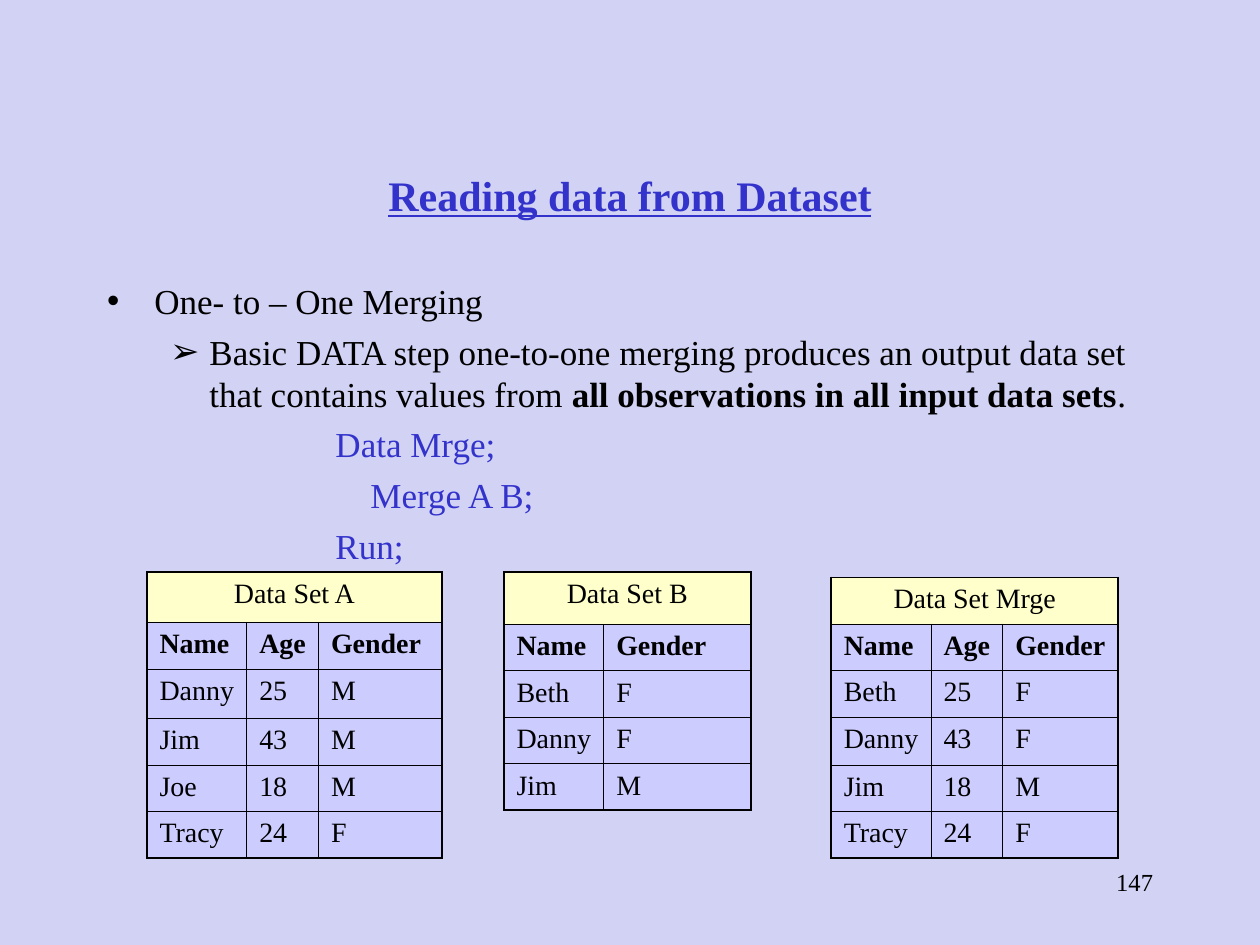
import pptx
import pptx.dml.color
import pptx.enum.text
import pptx.oxml
import pptx.oxml.ns
import pptx.util

Pt = pptx.util.Pt
ALIGN = pptx.enum.text.PP_ALIGN
ANCHOR = pptx.enum.text.MSO_ANCHOR
COLORS = {
    "background": "D2D2F4",
    "accent": "3333CC",
    "text": "000000",
    "caption": "FFFFCC",
    "cell": "CCCCFF",
}
NS = pptx.oxml.ns.nsdecls("a")


class Deck:
    font = "Times New Roman"
    outer_line, inner_line = 1.08, 0.45

    def __init__(self, prs):
        self.s = prs.slides.add_slide(prs.slide_layouts[1])
        fill = self.s.background.fill
        fill.solid()
        fill.fore_color.rgb = self.rgb("background")

    def rgb(self, name):
        return pptx.dml.color.RGBColor.from_string(COLORS[name])

    def place(self, sp, left, top, width, height):
        sp.left, sp.top, sp.width, sp.height = map(Pt, (left, top, width, height))

    def run(self, p, text, size, color="text", bold=False, underline=False):
        r = p.add_run()
        r.text = text
        r.font.name, r.font.size = self.font, Pt(size)
        r.font.bold, r.font.underline = bold, underline
        r.font.color.rgb = self.rgb(color)

    def title(self, box, text):
        sp = self.s.shapes.title
        self.place(sp, *box)
        tf = sp.text_frame
        tf.vertical_anchor = ANCHOR.MIDDLE
        p = tf.paragraphs[0]
        p.alignment = ALIGN.CENTER
        self.run(p, text, 24, "accent", bold=True, underline=True)

    def body(self, box, items):
        """Each item is (level, left margin, first-line indent, bullet, runs)."""
        sp = self.s.placeholders[1]
        self.place(sp, *box)
        tf = sp.text_frame
        tf.auto_size = pptx.enum.text.MSO_AUTO_SIZE.NONE
        for i, (level, margin, indent, bullet, runs) in enumerate(items):
            p = tf.add_paragraph() if i else tf.paragraphs[0]
            p.level = level
            p.space_before = Pt(5 if i else 0)
            pPr = p._p.get_or_add_pPr()
            pPr.set("marL", str(Pt(margin)))
            pPr.set("indent", str(Pt(indent)))
            mark = f'<a:buChar {NS} char="{bullet}"/>' if bullet else f"<a:buNone {NS}/>"
            pPr.append(pptx.oxml.parse_xml(mark))
            for text, style in runs:
                self.run(p, text, 20, **style)

    def text(self, box, text, size, align):
        tf = self.s.shapes.add_textbox(*map(Pt, box)).text_frame
        tf.word_wrap = True
        p = tf.paragraphs[0]
        p.alignment = align
        self.run(p, text, size)

    def border(self, cell, **outer):
        """Draw the sides L, R, T and B, heavy where the side is on the outside."""
        tcPr = cell._tc.get_or_add_tcPr()
        for side, is_outer in outer.items():
            width = Pt(self.outer_line if is_outer else self.inner_line)
            tcPr.append(pptx.oxml.parse_xml(
                f'<a:ln{side} {NS} w="{width}"><a:solidFill>'
                f'<a:srgbClr val="{COLORS["text"]}"/></a:solidFill></a:ln{side}>'))

    def table(self, left, top, widths, heights, caption, rows):
        n_rows, n_cols = len(heights), len(widths)
        box = map(Pt, (left, top, sum(widths), sum(heights)))
        table = self.s.shapes.add_table(n_rows, n_cols, *box).table
        table.first_row = table.horz_banding = False
        for column, width in zip(table.columns, widths):
            column.width = Pt(width)
        for row, height in zip(table.rows, heights):
            row.height = Pt(height)
        table.cell(0, 0).merge(table.cell(0, n_cols - 1))
        for i, values in enumerate([[caption]] + rows):
            for j, value in enumerate(values):
                cell = table.cell(i, j)
                self.border(cell, L=j == 0, R=j == len(values) - 1,
                            T=i == 0, B=i == n_rows - 1)
                cell.fill.solid()
                cell.fill.fore_color.rgb = self.rgb("cell" if i else "caption")
                p = cell.text_frame.paragraphs[0]
                p.alignment = ALIGN.LEFT if i else ALIGN.CENTER
                self.run(p, value, 16, bold=i == 1)


def main():
    prs = pptx.Presentation()
    prs.slide_width, prs.slide_height = Pt(720), Pt(540)
    deck = Deck(prs)
    deck.text((516, 492, 150, 36), "147", 14, ALIGN.RIGHT)
    deck.title((54, 84, 612, 54), "Reading data from Dataset")

    code = {"color": "accent"}
    deck.body((54, 156, 612, 324), [
        (0, 27, -27, "•", [("One- to – One Merging", {})]),
        (1, 58.5, -22.5, "➢", [
            ("Basic DATA step one-to-one merging produces an output data set "
             "that contains values from ", {}),
            ("all observations in all input data sets", {"bold": True}),
            (".", {})]),
    ] + [(1, 130.5, 0, None, [(line, code)])
         for line in ("Data Mrge;", "    Merge A B;", "Run;")])

    name, age = 57, 41
    deck.table(84, 327, (name, age, 70.5), (28.6, 26.8, 28, 26.8, 26.5, 26.8),
               "Data Set A", [
                   ["Name", "Age", "Gender"],
                   ["Danny", "25", "M"],
                   ["Jim", "43", "M"],
                   ["Joe", "18", "M"],
                   ["Tracy", "24", "F"]])
    deck.table(288, 327, (name, 84), (29.8, 26.5, 26.6, 26.6, 26.6),
               "Data Set B", [
                   ["Name", "Gender"],
                   ["Beth", "F"],
                   ["Danny", "F"],
                   ["Jim", "M"]])
    deck.table(475, 330, (name, age, 66), (26.6, 26.6, 26.6, 27.4, 26.6, 26.6),
               "Data Set Mrge", [
                   ["Name", "Age", "Gender"],
                   ["Beth", "25", "F"],
                   ["Danny", "43", "F"],
                   ["Jim", "18", "M"],
                   ["Tracy", "24", "F"]])
    prs.save("out.pptx")


if __name__ == "__main__":
    main()
